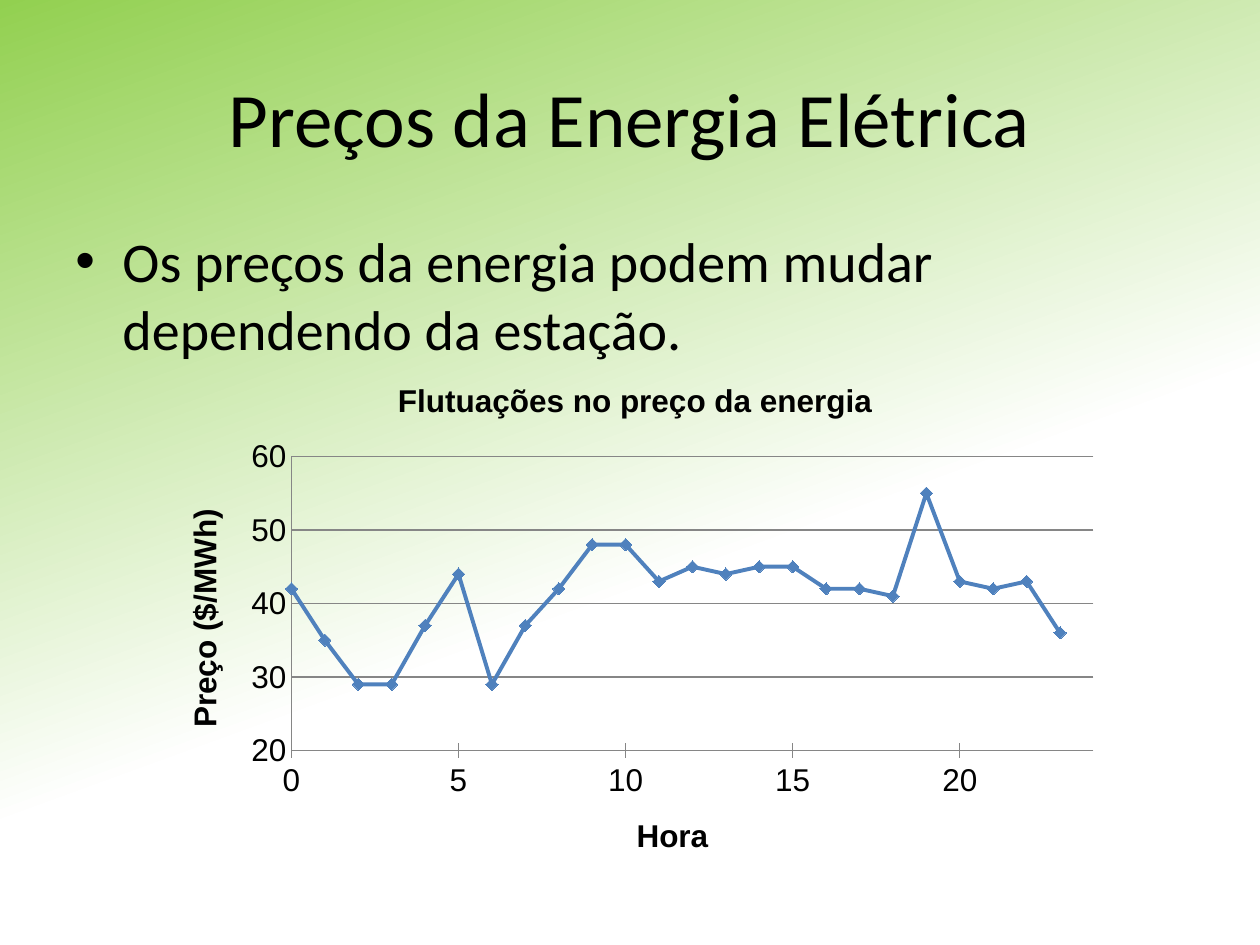
import lxml.etree
import pptx
import pptx.chart.data
import pptx.dml.color
import pptx.enum.chart
import pptx.enum.text
import pptx.oxml
import pptx.oxml.ns
import pptx.util

Cm = pptx.util.Cm
Pt = pptx.util.Pt
qn = pptx.oxml.ns.qn
COLORS = {"text": "000000", "green": "92D050", "white": "FFFFFF", "series": "4F81BD", "axis": "868686"}
PRICES = [42, 35, 29, 29, 37, 44, 29, 37, 42, 48, 48, 43,
          45, 44, 45, 45, 42, 42, 41, 55, 43, 42, 43, 36]


def color(name):
    """Return the named palette colour."""
    return pptx.dml.color.RGBColor.from_string(COLORS[name])


def apply_format(target, values):
    """Set each attribute of the target from a dict."""
    for name, value in values.items():
        setattr(target, name, value)


def format_font(font, name, size, bold=False):
    """Give a font its typeface, size, weight and text colour."""
    apply_format(font, {"name": name, "size": Pt(size), "bold": bold})
    font.color.rgb = color("text")


def fill_background(slide):
    """Fill the slide with a slanted green to white gradient."""
    fill = slide.background.fill
    fill.gradient()
    fill.gradient_angle = 290
    for stop, name, position in zip(fill.gradient_stops, ("green", "white"), (0, 0.59)):
        stop.color.rgb = color(name)
        stop.position = position


def add_text(slide, box, text, size, anchor, alignment, bullet=False):
    """Place one paragraph of text in a box, with an optional bullet."""
    frame = slide.shapes.add_textbox(*box).text_frame
    apply_format(frame, {"word_wrap": True, "vertical_anchor": anchor})
    paragraph = frame.paragraphs[0]
    paragraph.alignment = alignment
    if bullet:
        properties = paragraph._p.get_or_add_pPr()
        indent = Cm(0.95)
        properties.set("marL", str(indent))
        properties.set("indent", str(-indent))
        font = lxml.etree.SubElement(properties, qn("a:buFont"))
        font.set("typeface", "Arial")
        lxml.etree.SubElement(properties, qn("a:buChar")).set("char", "•")
    run = paragraph.add_run()
    run.text = text
    format_font(run.font, "Calibri", size)


def set_title(owner, text):
    """Give a chart or an axis a bold title."""
    owner.has_title = True
    title = owner.chart_title if hasattr(owner, "chart_title") else owner.axis_title
    paragraph = title.text_frame.paragraphs[0]
    run = paragraph.add_run()
    run.text = text
    format_font(run.font, "Arial", 18, True)


def format_axis(axis, title, values):
    """Set the scale, ticks, line and title of an axis."""
    apply_format(axis, values)
    format_font(axis.tick_labels.font, "Arial", 18)
    axis.format.line.color.rgb = color("axis")
    set_title(axis, title)


def place_plot(chart, layout):
    """Fix the inner plot area as fractions of the chart."""
    plot_area = chart._chartSpace.chart.plotArea
    for old_layout in plot_area.findall(qn("c:layout")):
        plot_area.remove(old_layout)
    holder = lxml.etree.Element(qn("c:layout"))
    manual = lxml.etree.SubElement(holder, qn("c:manualLayout"))
    settings = {"layoutTarget": "inner", "xMode": "edge", "yMode": "edge", **layout}
    for name, value in settings.items():
        lxml.etree.SubElement(manual, qn(f"c:{name}")).set("val", str(value))
    plot_area.insert(0, holder)


def add_price_chart(slide, box):
    """Place the smooth chart of hourly energy prices."""
    data = pptx.chart.data.XyChartData()
    prices = data.add_series("Series 1")
    for hour, price in enumerate(PRICES):
        prices.add_data_point(hour, price)
    chart_type = pptx.enum.chart.XL_CHART_TYPE.XY_SCATTER_SMOOTH
    chart = slide.shapes.add_chart(chart_type, *box, data).chart
    chart.has_legend = False
    format_font(chart.font, "Arial", 10)
    set_title(chart, "Flutuações no preço da energia")

    ticks = pptx.enum.chart.XL_TICK_MARK
    format_axis(chart.category_axis, "Hora", {
        "minimum_scale": 0, "maximum_scale": 24, "major_unit": 5,
        "major_tick_mark": ticks.CROSS, "minor_tick_mark": ticks.NONE,
        "has_major_gridlines": False})
    format_axis(chart.value_axis, "Preço ($/MWh)", {
        "minimum_scale": 20, "maximum_scale": 60, "major_unit": 10,
        "major_tick_mark": ticks.NONE, "minor_tick_mark": ticks.NONE,
        "has_major_gridlines": True})
    chart.value_axis.major_gridlines.format.line.color.rgb = color("axis")

    chart.plots[0].vary_by_categories = False
    series = chart.plots[0].series[0]
    series.smooth = True
    series.format.line.color.rgb = color("series")
    series.format.line.width = Pt(2.25)
    apply_format(series.marker, {
        "style": pptx.enum.chart.XL_MARKER_STYLE.DIAMOND, "size": 7})
    series.marker.format.fill.solid()
    series.marker.format.fill.fore_color.rgb = color("series")
    series.marker.format.line.color.rgb = color("series")
    place_plot(chart, {"x": 0.14, "y": 0.19, "w": 0.84, "h": 0.56})


def main():
    """Build and save the slide."""
    presentation = pptx.Presentation()
    apply_format(presentation, {"slide_width": Cm(25.4), "slide_height": Cm(19.05)})
    slide = presentation.slides.add_slide(presentation.slide_layouts[6])
    anchors = pptx.enum.text.MSO_ANCHOR
    alignments = pptx.enum.text.PP_ALIGN
    fill_background(slide)
    add_text(slide, (Cm(1.27), Cm(0.76), Cm(22.86), Cm(3.18)),
             "Preços da Energia Elétrica", 44, anchors.MIDDLE, alignments.CENTER)
    add_text(slide, (Cm(1.27), Cm(4.45), Cm(22.86), Cm(12.57)),
             "Os preços da energia podem mudar dependendo da estação.",
             32, anchors.TOP, alignments.LEFT, bullet=True)
    add_price_chart(slide, (Cm(3.18), Cm(7.19), Cm(19.25), Cm(10.59)))
    presentation.save("out.pptx")


if __name__ == "__main__":
    main()
